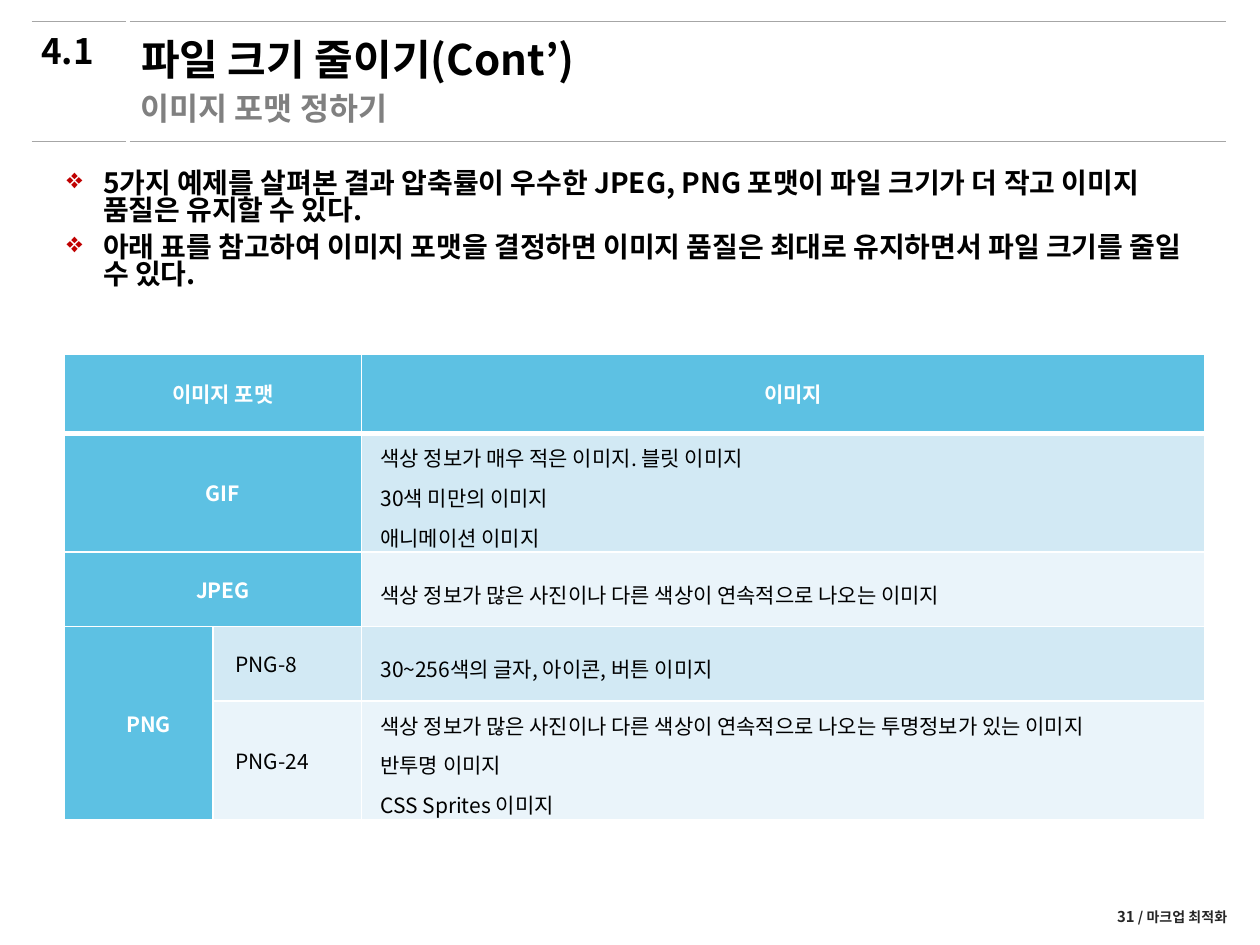
"""Build the slide on choosing an image format."""
import itertools
from dataclasses import dataclass
from typing import Any

import pptx
import pptx.dml.color
import pptx.enum.text
import pptx.oxml
import pptx.oxml.ns
import pptx.util
from pptx.util import Inches

ALIGN = pptx.enum.text.PP_ALIGN
ANCHOR = pptx.enum.text.MSO_ANCHOR
NAMESPACE = pptx.oxml.ns.nsdecls("a")


@dataclass(frozen=True)
class Theme:
    font: str = "Noto Sans CJK KR"
    black: str = "000000"
    white: str = "FFFFFF"
    subtitle: str = "808080"
    footer: str = "262626"
    rule: str = "A6A6A6"
    bullet: str = "C00000"
    header: str = "5DC1E3"
    band_dark: str = "D2E9F4"
    band_light: str = "EAF4FA"
    title_size: float = 24
    number_size: float = 20
    subtitle_size: float = 18
    body_size: float = 16
    table_size: float = 12
    page_size: float = 8.5
    footer_size: float = 8


THEME = Theme()


@dataclass(frozen=True)
class Span:
    text: str
    size: float
    color: str = THEME.black
    bold: bool = True


@dataclass(frozen=True)
class Layout:
    align: Any = ALIGN.LEFT
    line_spacing: float = 1.0
    before: float = 0
    after: float = 0
    margin: float = 0
    indent: float = 0
    bullet: str = ""


@dataclass(frozen=True)
class Entry:
    row: int
    column: int
    lines: tuple[str, ...]
    fill: str
    layout: Layout
    rows: int = 1
    columns: int = 1


HEADING = Layout(line_spacing=0.88)
BULLETS = Layout(line_spacing=0.82, before=3.2, after=2, margin=0.29, indent=-0.29, bullet="❖")
CENTERED = Layout(align=ALIGN.CENTER, after=3, before=3, indent=0.16)
LABEL = Layout(after=3, before=3, indent=0.16)
DETAIL = Layout(line_spacing=1.3, margin=0.13)

COLUMN_WIDTHS = (1.18, 1.18, 6.69)
ROW_HEIGHTS = (0.63, 0.59, 0.59, 0.59, 0.71)
ENTRIES = (
    Entry(0, 0, ("이미지 포맷",), THEME.header, CENTERED, columns=2),
    Entry(0, 2, ("이미지",), THEME.header, CENTERED),
    Entry(1, 0, ("GIF",), THEME.header, CENTERED, columns=2),
    Entry(1, 2, ("색상 정보가 매우 적은 이미지. 블릿 이미지", "30색 미만의 이미지", "애니메이션 이미지"),
          THEME.band_dark, DETAIL),
    Entry(2, 0, ("JPEG",), THEME.header, CENTERED, columns=2),
    Entry(2, 2, ("색상 정보가 많은 사진이나 다른 색상이 연속적으로 나오는 이미지",), THEME.band_light, DETAIL),
    Entry(3, 0, ("PNG",), THEME.header, CENTERED, rows=2),
    Entry(3, 1, ("PNG-8",), THEME.band_dark, LABEL),
    Entry(3, 2, ("30~256색의 글자, 아이콘, 버튼 이미지",), THEME.band_dark, DETAIL),
    Entry(4, 1, ("PNG-24",), THEME.band_light, LABEL),
    Entry(4, 2, ("색상 정보가 많은 사진이나 다른 색상이 연속적으로 나오는 투명정보가 있는 이미지",
                 "반투명 이미지", "CSS Sprites 이미지"), THEME.band_light, DETAIL),
)


def set_values(target: Any, values: dict[str, Any]) -> None:
    """Set every named attribute of the target."""
    for name, value in values.items():
        setattr(target, name, value)


def rgb(color: str) -> Any:
    """Return a colour object for a hex string."""
    return pptx.dml.color.RGBColor.from_string(color)


def element(markup: str) -> Any:
    """Return a drawing element parsed from markup with a namespace slot."""
    return pptx.oxml.parse_xml(markup.format(ns=NAMESPACE))


def fill_frame(frame: Any, paragraphs: list[list[Span]], layout: Layout) -> None:
    """Write the paragraphs into a text frame with one layout."""
    for index, spans in enumerate(paragraphs):
        para = frame.add_paragraph() if index else frame.paragraphs[0]
        properties = para._p.get_or_add_pPr()
        properties.set("marL", str(Inches(layout.margin)))
        properties.set("indent", str(Inches(layout.indent)))
        if layout.bullet:
            properties.append(element(
                f'<a:buClr {{ns}}><a:srgbClr val="{THEME.bullet}"/></a:buClr>'))
            properties.append(element(f'<a:buChar {{ns}} char="{layout.bullet}"/>'))
        set_values(para, {
            "alignment": layout.align,
            "line_spacing": layout.line_spacing,
            "space_before": pptx.util.Pt(layout.before if index else 0),
            "space_after": pptx.util.Pt(layout.after),
        })
        for span in spans:
            run = para.add_run()
            run.text = span.text
            set_values(run.font, {"name": THEME.font, "size": pptx.util.Pt(span.size),
                                  "bold": span.bold})
            run.font.color.rgb = rgb(span.color)
            run.font._element.append(element(f'<a:ea {{ns}} typeface="{THEME.font}"/>'))


def write_box(box: Any, area: tuple[float, ...], paragraphs: list[list[Span]],
              layout: Layout, anchor: Any = ANCHOR.TOP) -> None:
    """Place a text shape and fill it."""
    set_values(box, dict(zip(("left", "top", "width", "height"), map(Inches, area))))
    set_values(box.text_frame, {"word_wrap": True, "vertical_anchor": anchor,
                                "auto_size": pptx.enum.text.MSO_AUTO_SIZE.NONE})
    fill_frame(box.text_frame, paragraphs, layout)


def add_rule(page: Any, left: float, right: float, top: float) -> None:
    """Draw one thin horizontal rule."""
    rule = page.shapes.add_connector(
        pptx.enum.shapes.MSO_CONNECTOR.STRAIGHT, *map(Inches, (left, top, right, top)))
    rule.line.color.rgb = rgb(THEME.rule)
    rule.line.width = pptx.util.Pt(0.25)
    rule._element.spPr.append(element("<a:effectLst {ns}/>"))


def set_borders(cell: Any, bottom: float, top: float) -> None:
    """Give a cell white borders of the stated widths in points."""
    properties = cell._tc.get_or_add_tcPr()
    for index, (side, width) in enumerate({"L": 1, "R": 1, "T": top, "B": bottom}.items()):
        properties.insert(index, element(
            f'<a:ln{side} {{ns}} w="{pptx.util.Pt(width)}"><a:solidFill>'
            f'<a:srgbClr val="{THEME.white}"/></a:solidFill></a:ln{side}>'))


def add_format_table(page: Any) -> None:
    """Draw the table of image formats."""
    table = page.shapes.add_table(
        len(ROW_HEIGHTS), len(COLUMN_WIDTHS), Inches(0.51), Inches(2.81),
        Inches(sum(COLUMN_WIDTHS)), Inches(sum(ROW_HEIGHTS))).table
    set_values(table, {"first_row": False, "horz_banding": False})
    for column, width in zip(table.columns, COLUMN_WIDTHS):
        column.width = Inches(width)
    for row, height in zip(table.rows, ROW_HEIGHTS):
        row.height = Inches(height)
    for entry in ENTRIES:
        cell = table.cell(entry.row, entry.column)
        last = table.cell(entry.row + entry.rows - 1, entry.column + entry.columns - 1)
        if last._tc is not cell._tc:
            cell.merge(last)
        on_header = entry.fill == THEME.header
        color = THEME.white if on_header else THEME.black
        fill_frame(cell.text_frame,
                   [[Span(line, THEME.table_size, color, on_header)] for line in entry.lines],
                   entry.layout)
        covered = itertools.product(range(entry.rows), range(entry.columns))
        for down, across in covered:
            part = table.cell(entry.row + down, entry.column + across)
            set_values(part, {"vertical_anchor": ANCHOR.MIDDLE,
                              "margin_left": Inches(0.02), "margin_right": Inches(0.02),
                              "margin_top": 0, "margin_bottom": 0})
            part.fill.solid()
            part.fill.fore_color.rgb = rgb(entry.fill)
            set_borders(part, 3 if entry.row == 0 else 1, 3 if entry.row == 1 else 1)


def main() -> None:
    """Build and save the deck."""
    deck = pptx.Presentation()
    set_values(deck, {"slide_width": Inches(10), "slide_height": Inches(7.5)})
    page = deck.slides.add_slide(deck.slide_layouts[5])
    for (left, right), top in itertools.product(((0.25, 1), (1.03, 9.73)), (0.17, 1.12)):
        add_rule(page, left, right, top)
    write_box(page.shapes.title, (1.02, 0.23, 8.48, 0.48),
              [[Span("파일 크기 줄이기(Cont’)", THEME.title_size)]], Layout(), ANCHOR.MIDDLE)
    bullets = ("5가지 예제를 살펴본 결과 압축률이 우수한 JPEG, PNG 포맷이 파일 크기가 더 작고 이미지 품질은 유지할 수 있다.",
               "아래 표를 참고하여 이미지 포맷을 결정하면 이미지 품질은 최대로 유지하면서 파일 크기를 줄일 수 있다.")
    footer = [Span("31", THEME.page_size, THEME.footer),
              Span(" / 마크업 최적화", THEME.footer_size, THEME.footer)]
    for area, paragraphs, layout, anchor in (
        ((1.02, 0.7, 7.84, 0.39),
         [[Span("이미지 포맷 정하기", THEME.subtitle_size, THEME.subtitle)]], HEADING, ANCHOR.TOP),
        ((0.23, 0.23, 0.7, 0.47), [[Span("4.1", THEME.number_size)]], HEADING, ANCHOR.TOP),
        ((0.43, 1.31, 9.21, 4.25),
         [[Span(text, THEME.body_size)] for text in bullets], BULLETS, ANCHOR.TOP),
        ((6.8, 7.14, 3.04, 0.27), [footer], Layout(align=ALIGN.RIGHT), ANCHOR.MIDDLE),
    ):
        write_box(page.shapes.add_textbox(0, 0, 0, 0), area, paragraphs, layout, anchor)
    add_format_table(page)
    deck.save("out.pptx")


if __name__ == "__main__":
    main()
